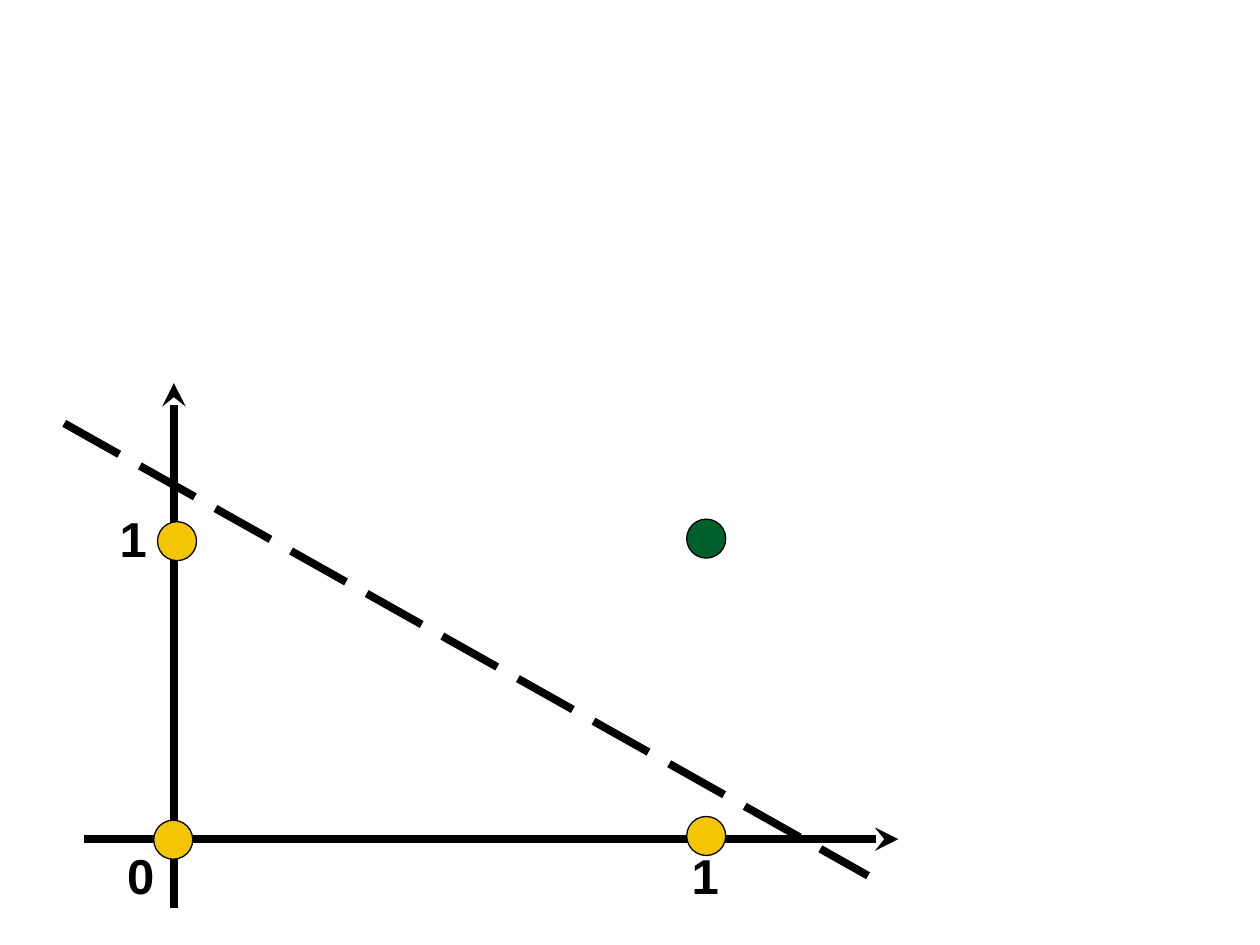
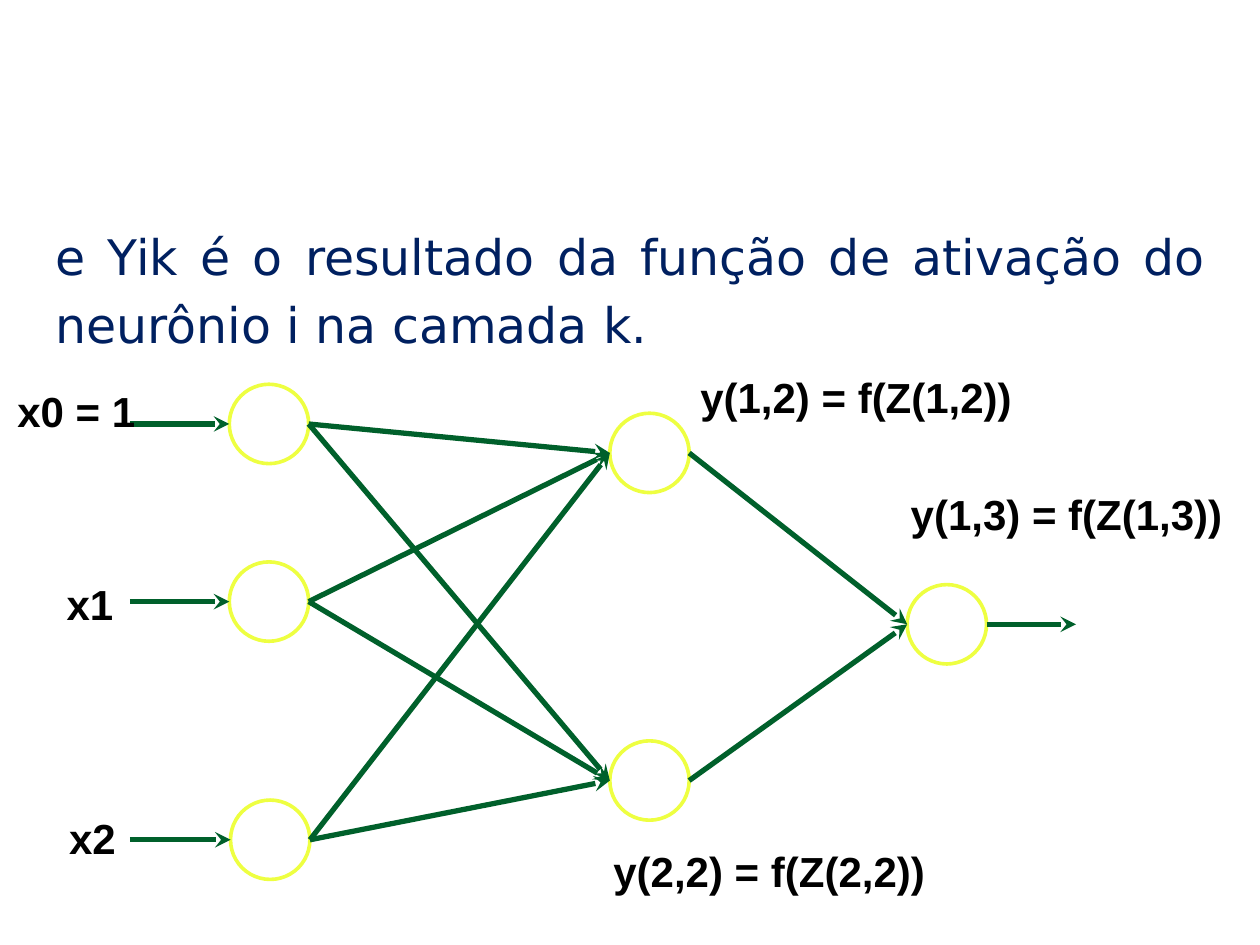
from lxml.etree import SubElement
from pptx import Presentation
from pptx.dml.color import RGBColor
from pptx.enum.dml import MSO_LINE
from pptx.enum.shapes import MSO_CONNECTOR, MSO_SHAPE
from pptx.enum.text import MSO_ANCHOR, MSO_AUTO_SIZE, PP_ALIGN
from pptx.oxml.ns import qn
from pptx.util import Inches, Pt

# Theme: colours, type and line weights
theme = {
    "black": RGBColor.from_string("000000"),
    "white": RGBColor.from_string("FFFFFF"),
    "gold": RGBColor.from_string("F3C503"),
    "green": RGBColor.from_string("00602B"),
    "lime": RGBColor.from_string("EEFF41"),
    "navy": RGBColor.from_string("002060"),
    "axis": Pt(4.5),
    "wire": Pt(3),
    "ring": Pt(2.08),
    "thin": Pt(0.75),
    "tick": {"name": "Arial", "size": Pt(28), "bold": True},
    "note": {"name": "Arial", "size": Pt(24), "bold": True},
    "body": {"name": "DejaVu Sans", "size": Pt(28), "bold": False},
}


def link(slide, start, end, color, width, dash=None):
    """Draw a dashed line, or an arrow when no dash is given."""
    ends = [Inches(v) for v in (*start, *end)]
    line = slide.shapes.add_connector(MSO_CONNECTOR.STRAIGHT, *ends)
    line.line.color.rgb = theme[color]
    line.line.width = theme[width]
    if dash:
        line.line.dash_style = dash
    else:
        SubElement(line.line._get_or_add_ln(), qn("a:tailEnd"), type="stealth")
    SubElement(line._element.spPr, qn("a:effectLst"))


def disc(slide, left, top, size, fill, edge, width):
    """Draw a filled circle with an outline."""
    box = [Inches(v) for v in (left, top, size, size)]
    oval = slide.shapes.add_shape(MSO_SHAPE.OVAL, *box)
    oval.shadow.inherit = False
    oval.fill.solid()
    oval.fill.fore_color.rgb = theme[fill]
    oval.line.color.rgb = theme[edge]
    oval.line.width = theme[width]


deck = Presentation()
deck.slide_width, deck.slide_height = Inches(10), Inches(7.5)

# Slide 1: axes, four points and the dividing line
plot = deck.slides.add_slide(deck.slide_layouts[6])
link(plot, (1.38, 7.21), (1.38, 3.04), "black", "axis")
link(plot, (0.67, 6.66), (7.13, 6.66), "black", "axis")
for left, top, fill in [(1.25, 4.14, "gold"), (1.22, 6.51, "gold"),
                        (5.45, 6.48, "gold"), (5.45, 4.12, "green")]:
    disc(plot, left, top, 0.31, fill, "black", "thin")
link(plot, (0.51, 3.36), (6.89, 6.95), "black", "axis", MSO_LINE.LONG_DASH)

# Slide 2: body text
net = deck.slides.add_slide(deck.slide_layouts[1])
title = net.shapes.title._element
title.getparent().remove(title)
body = net.placeholders[1]
place = {"left": 0.34, "top": 1.68, "width": 9.32, "height": 4.98}
for key, value in place.items():
    setattr(body, key, Inches(value))
frame = body.text_frame
frame.text = "e Yik é o resultado da função de ativação do neurônio i na camada k."
frame.auto_size = MSO_AUTO_SIZE.NONE
frame.vertical_anchor = MSO_ANCHOR.TOP
para = frame.paragraphs[0]
layout = {"alignment": PP_ALIGN.JUSTIFY, "line_spacing": 1.15,
          "space_before": Pt(0), "space_after": Pt(12)}
for key, value in layout.items():
    setattr(para, key, value)
props = para._p.get_or_add_pPr()
props.set("marL", "0")
props.set("indent", "0")
SubElement(props, qn("a:buNone"))
font = para.runs[0].font
for key, value in theme["body"].items():
    setattr(font, key, value)
font.color.rgb = theme["navy"]

# Network layers: left and top of each neuron
size = 0.63
layers = [
    [(1.82, 3.05), (1.82, 4.46), (1.83, 6.35)],
    [(4.84, 3.28), (4.84, 5.88)],
    [(7.2, 4.64)],
]
for layer in layers:
    for left, top in layer:
        disc(net, left, top, size, "white", "lime", "ring")

# Arrows between layers, then the inputs and the output
half = size / 2
for near, far in zip(layers, layers[1:]):
    for left, top in near:
        for goal, high in far:
            link(net, (left + size, top + half), (goal, high + half),
                 "green", "wire")
for left, top in layers[0]:
    link(net, (1.03, top + half), (left, top + half), "green", "wire")
left, top = layers[-1][0]
link(net, (left + size, top + half), (8.54, top + half), "green", "wire")

# Labels on both slides
labels = [
    (plot, "0", 0.91, 6.66, 0.42, "tick"),
    (plot, "1", 0.85, 3.99, 0.42, "tick"),
    (plot, "1", 5.39, 6.66, 0.42, "tick"),
    (net, "x0 = 1", 0.04, 3.01, 1.24, "note"),
    (net, "x1", 0.43, 4.54, 0.58, "note"),
    (net, "x2", 0.45, 6.4, 0.58, "note"),
    (net, "y(1,2) = f(Z(1,2))", 5.46, 2.9, 3.03, "note"),
    (net, "y(2,2) = f(Z(2,2))", 4.77, 6.66, 3.39, "note"),
    (net, "y(1,3) = f(Z(1,3))", 7.13, 3.83, 2.8, "note"),
]
tall = {"tick": 0.57, "note": 0.5}
for slide, text, left, top, wide, style in labels:
    box = [Inches(v) for v in (left, top, wide, tall[style])]
    frame = slide.shapes.add_textbox(*box).text_frame
    frame.word_wrap = True
    frame.text = text
    font = frame.paragraphs[0].runs[0].font
    for key, value in theme[style].items():
        setattr(font, key, value)
    font.color.rgb = theme["black"]

deck.save("out.pptx")
